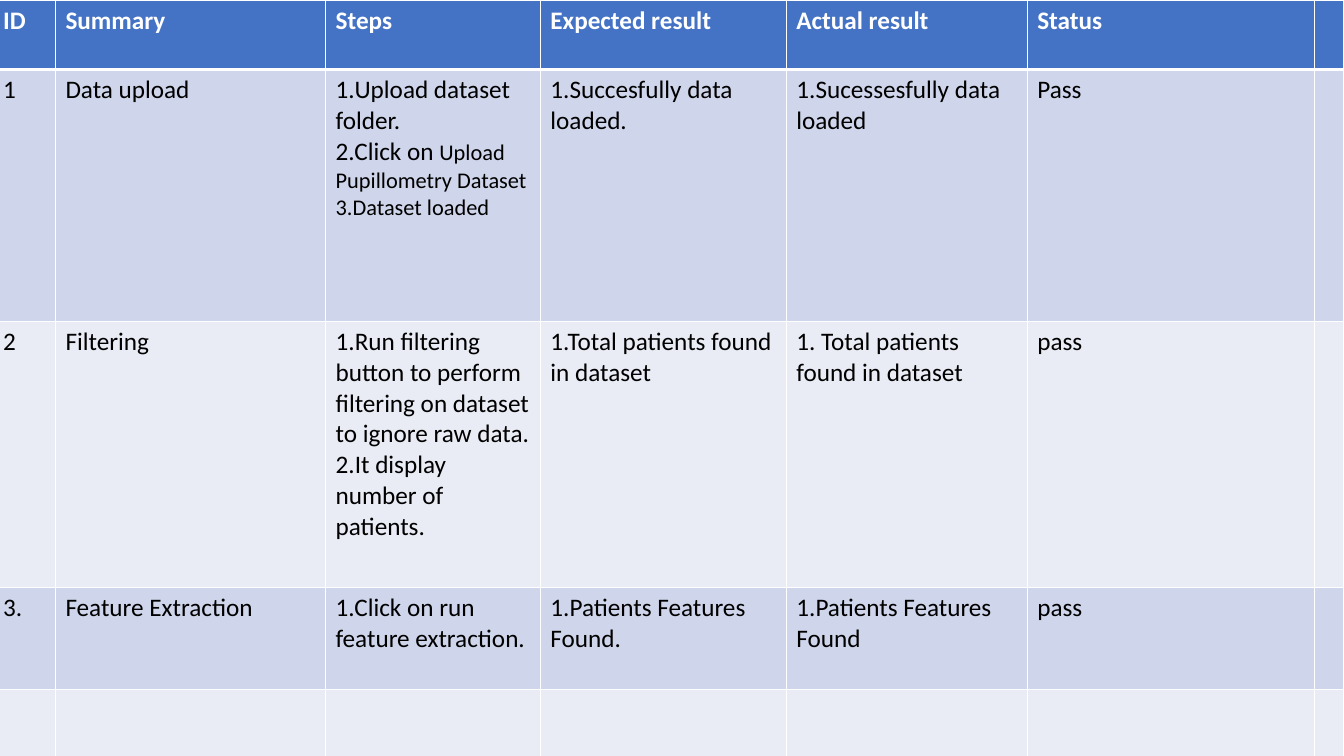
"""Build a slide with a full-page table of test cases."""
from pptx import Presentation
from pptx.dml.color import RGBColor as Rgb
from pptx.oxml import parse_xml
from pptx.oxml.ns import nsdecls
from pptx.util import Pt

HEAD = ["ID", "Summary", "Steps", "Expected result", "Actual result", "Status", ""]
CASES = [
    ["1", "Data upload",
     ["1.Upload dataset folder.",
      [("2.Click on ", 18), ("Upload Pupillometry Dataset", 16)],
      [("3.Dataset loaded", 16)]],
     "1.Succesfully data loaded.", "1.Sucessesfully data loaded", "Pass", ""],
    ["2", "Filtering",
     ["1.Run filtering button to perform filtering on dataset to ignore raw data.",
      "2.It display number of patients."],
     "1.Total patients found in dataset", "1. Total patients found in dataset",
     "pass", ""],
    ["3.", "Feature Extraction", "1.Click on run feature extraction.",
     "1.Patients Features Found.", "1.Patients Features Found", "pass", ""],
    [""] * 7,
]
WIDTHS = [44.6, 193, 153.4, 175.7, 172.1, 205.2, 20.9]
HEIGHTS = [49.7, 180, 190, 72.6, 59.6]
BLUE, DARK, LIGHT = "4472C4", "CFD5EA", "E9EBF5"
WHITE, BLACK = "FFFFFF", "000000"


def paint(fill, color):
    fill.solid()
    fill.fore_color.rgb = Rgb.from_string(color)


def write(frame, text, size=18, color=BLACK, bold=False, font="Calibri"):
    lines = text if isinstance(text, list) else [text]
    for i, line in enumerate(lines):
        para = frame.add_paragraph() if i else frame.paragraphs[0]
        para.font.size = Pt(size)
        for part, pts in [(line, size)] if isinstance(line, str) else line:
            if part:
                run = para.add_run()
                run.text = part
                run.font.name, run.font.size, run.font.bold = font, Pt(pts), bold
                paint(run.font.fill, color)


def edge(cell, base):
    props = cell._tc.get_or_add_tcPr()
    for i, (side, width) in enumerate(zip("LRTB", (1, 1, 1, base))):
        props.insert(i, parse_xml(
            f'<a:ln{side} {nsdecls("a")} w="{Pt(width)}"><a:solidFill>'
            f'<a:srgbClr val="{WHITE}"/></a:solidFill></a:ln{side}>'))


def main():
    deck = Presentation()
    deck.slide_width, deck.slide_height = Pt(960), Pt(540)
    slide = deck.slides.add_slide(deck.slide_layouts[6])
    rows = [HEAD] + CASES
    table = slide.shapes.add_table(
        len(rows), len(HEAD), Pt(-5), Pt(0), Pt(sum(WIDTHS)), Pt(sum(HEIGHTS))).table
    table.horz_banding = False
    for col, width in zip(table.columns, WIDTHS):
        col.width = Pt(width)
    for r, (row, height) in enumerate(zip(rows, HEIGHTS)):
        table.rows[r].height = Pt(height)
        top = r == 0
        fill = BLUE if top else DARK if r % 2 else LIGHT
        for c, text in enumerate(row):
            cell = table.cell(r, c)
            paint(cell.fill, fill)
            edge(cell, 3 if r == 0 else 1)
            if r == 1:
                cell._tc.tcPr.find("{*}lnT").set("w", str(Pt(3)))
            write(cell.text_frame, text, color=WHITE if top else BLACK, bold=top)
    deck.save("out.pptx")


if __name__ == "__main__":
    main()
